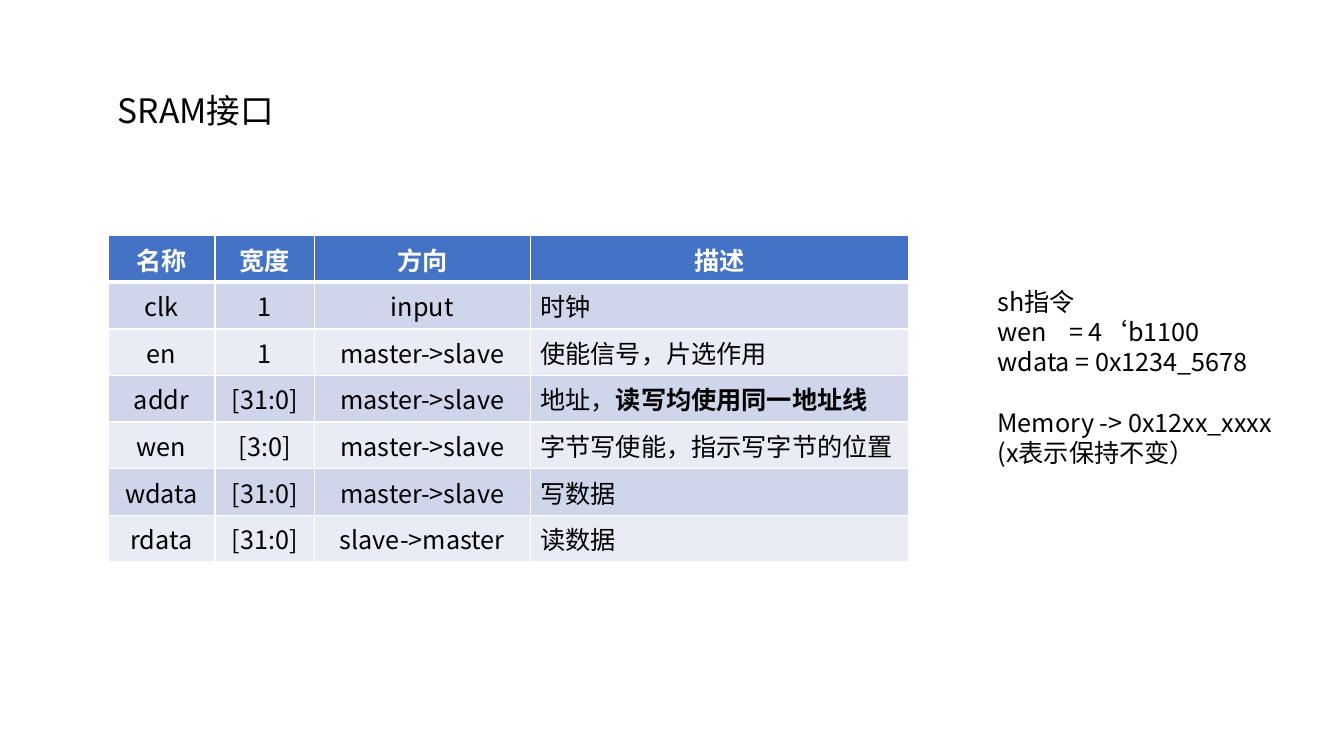
from lxml import etree
from pptx import Presentation
from pptx.dml.color import RGBColor as RGB
from pptx.enum.text import MSO_ANCHOR as Anchor, PP_ALIGN as Align
from pptx.oxml.ns import qn
from pptx.util import Cm, Pt

FONT = "Noto Sans CJK SC"
COLORS = {"text": "000000", "white": "FFFFFF", "header": "4472C4",
          "odd": "CFD5EA", "even": "E9EBF5"}
COL_WIDTHS = (2.7, 2.5, 5.44, 9.55)
ROW_HEIGHT = 1.17
HEADER = ("名称", "宽度", "方向", "描述")
SIGNALS = (
    ("clk", "1", "input", "时钟"),
    ("en", "1", "master->slave", "使能信号，片选作用"),
    ("addr", "[31:0]", "master->slave", "地址，"),
    ("wen", "[3:0]", "master->slave", "字节写使能，指示写字节的位置"),
    ("wdata", "[31:0]", "master->slave", "写数据"),
    ("rdata", "[31:0]", "slave->master", "读数据"),
)
ADDR_EMPHASIS = "读写均使用同一地址线"
EXAMPLE = ("sh指令", "wen\t= 4‘b1100", "wdata = 0x1234_5678",
           "Memory -> 0x12xx_xxxx", "(x表示保持不变）")


def style_run(r, size, color="text", bold=False):
    """Set Latin and East Asian font, size, colour and weight."""
    r.font.name, r.font.size, r.font.bold = FONT, Pt(size), bold
    r.font.color.rgb = RGB.from_string(COLORS[color])
    ea = etree.SubElement(r.font._element, qn("a:ea"))
    ea.set("typeface", FONT)


def set_borders(cell, bottom):
    """Draw white cell edges; the lines must precede the fill in the XML."""
    tc_pr = cell._tc.get_or_add_tcPr()
    widths = (("a:lnL", 1), ("a:lnR", 1), ("a:lnT", 1), ("a:lnB", bottom))
    for i, (tag, width) in enumerate(widths):
        ln = etree.Element(qn(tag), w=str(Pt(width)))
        fill = etree.SubElement(ln, qn("a:solidFill"))
        etree.SubElement(fill, qn("a:srgbClr"), val=COLORS["white"])
        tc_pr.insert(i, ln)


def add_text(s, lines, size, left, top, width, height, wrap=True):
    tf = s.shapes.add_textbox(Cm(left), Cm(top), Cm(width), Cm(height)).text_frame
    tf.word_wrap = wrap
    tf.text = "\n".join(lines)
    for p in tf.paragraphs:
        p.line_spacing = Pt(size * 1.2)
        for r in p.runs:
            style_run(r, size)
    return tf


def add_example(s, left, top, width, height):
    """Write the store example, with its result set off by one line."""
    tf = add_text(s, EXAMPLE, 18, left, top, width, height)
    tf.paragraphs[3].space_before = Pt(21.6)
    p_pr = tf.paragraphs[1]._p.get_or_add_pPr()
    tabs = etree.SubElement(p_pr, qn("a:tabLst"))
    etree.SubElement(tabs, qn("a:tab"), pos=str(Cm(1.81)), algn="l")


def add_signal_table(s, left, top):
    rows = (HEADER, *SIGNALS)
    table = s.shapes.add_table(len(rows), len(HEADER), Cm(left), Cm(top),
                               Cm(sum(COL_WIDTHS)), Cm(ROW_HEIGHT * len(rows))).table
    for col, width in zip(table.columns, COL_WIDTHS):
        col.width = Cm(width)
    for i, texts in enumerate(rows):
        table.rows[i].height = Cm(ROW_HEIGHT)
        is_header = i == 0
        fill = "header" if is_header else "odd" if i % 2 else "even"
        for j, text in enumerate(texts):
            cell = table.cell(i, j)
            cell.fill.solid()
            cell.fill.fore_color.rgb = RGB.from_string(COLORS[fill])
            cell.vertical_anchor = Anchor.MIDDLE
            set_borders(cell, 3 if is_header else 1)
            p = cell.text_frame.paragraphs[0]
            p.text = text
            p.alignment = Align.CENTER if is_header or j < 3 else Align.LEFT
            style_run(p.runs[0], 18, "white" if is_header else "text", is_header)
            if text == "地址，":
                r = p.add_run()
                r.text = ADDR_EMPHASIS
                style_run(r, 18, bold=True)


def main():
    prs = Presentation()
    prs.slide_width, prs.slide_height = Cm(33.87), Cm(19.05)
    s = prs.slides.add_slide(prs.slide_layouts[6])
    add_signal_table(s, 2.72, 5.94)
    add_text(s, ["SRAM接口"], 24, 2.72, 2.13, 4.72, 1.27, wrap=False)
    add_example(s, 24.89, 7.09, 8.33, 4.88)
    prs.save("out.pptx")


if __name__ == "__main__":
    main()
